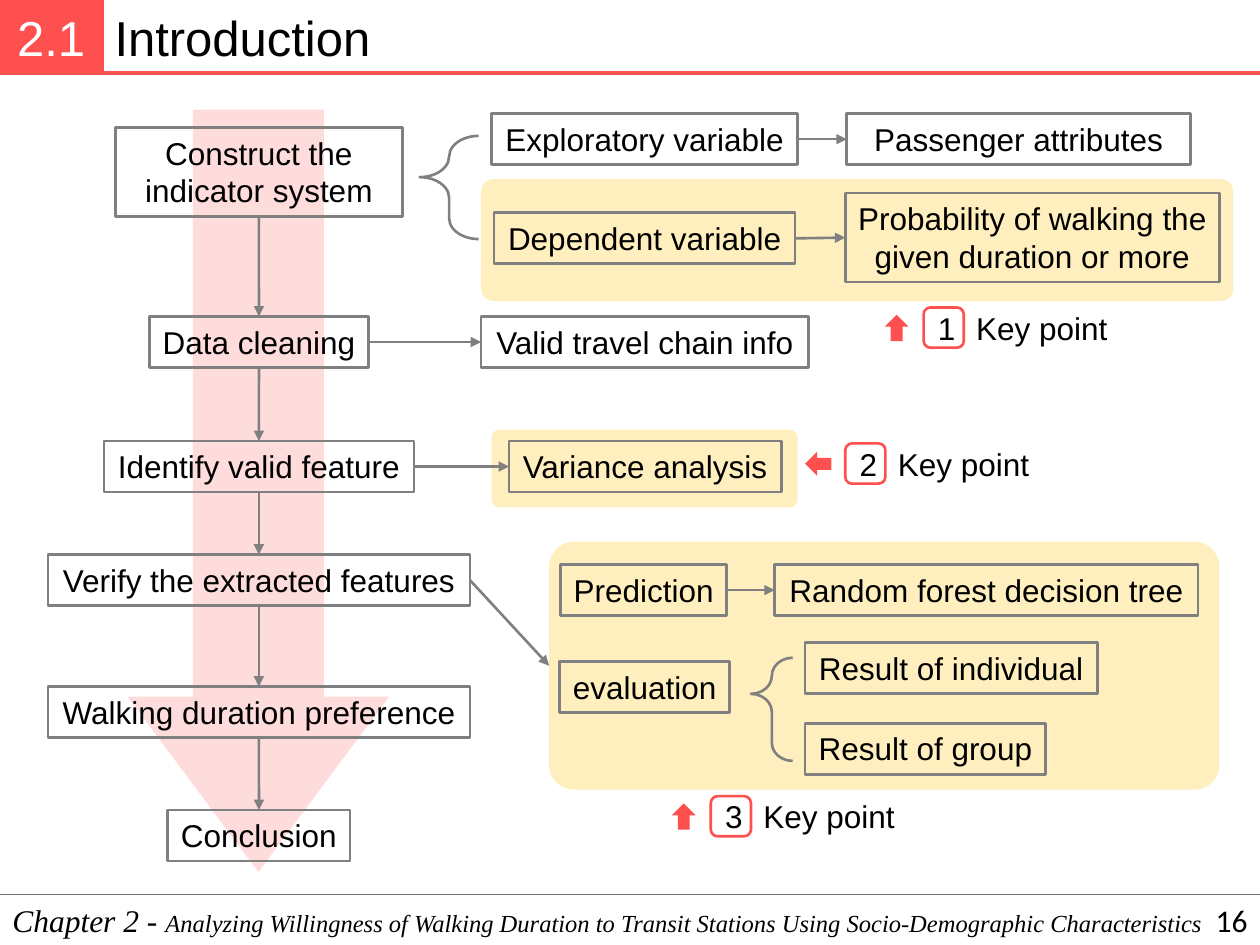
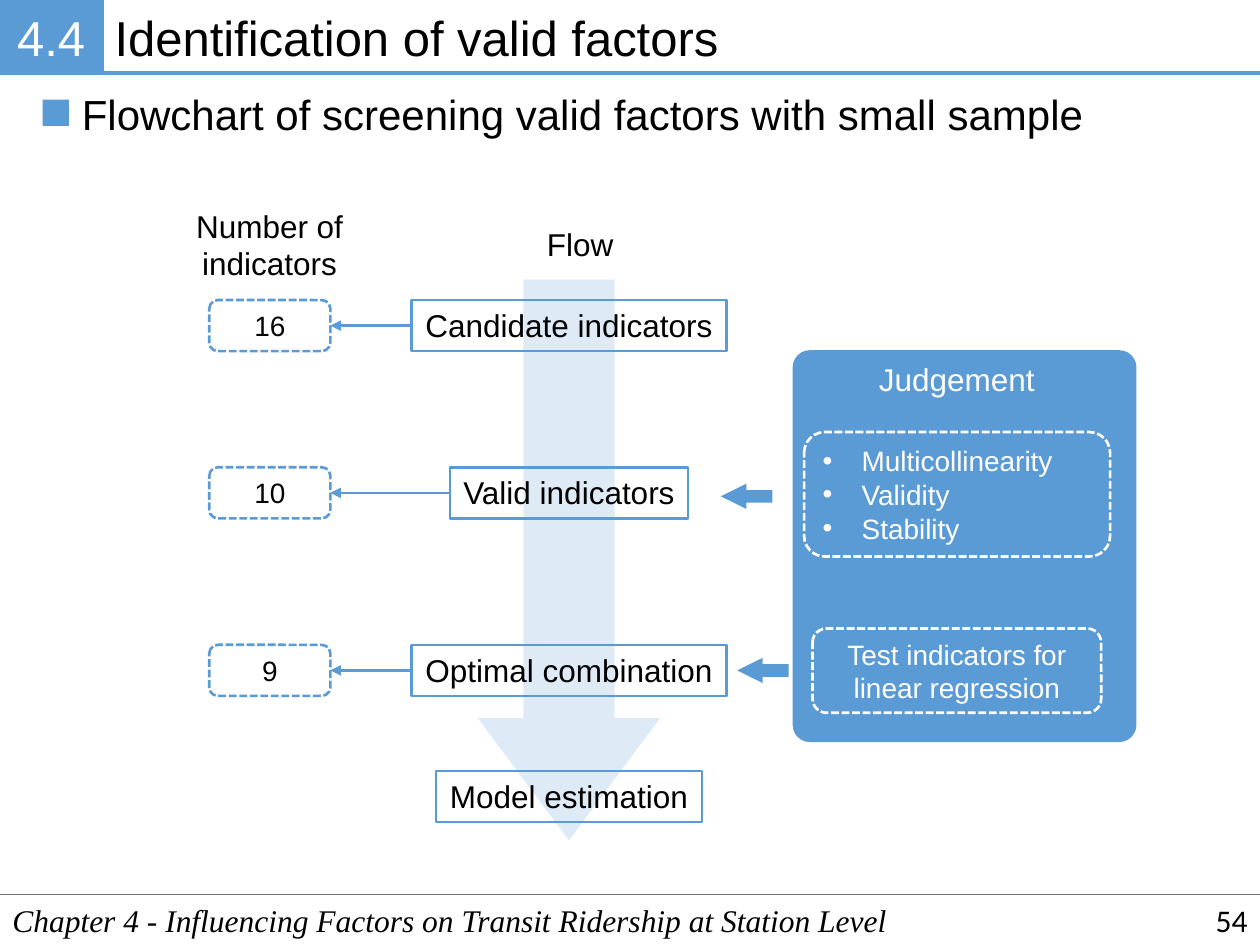
from itertools import pairwise

from lxml.etree import SubElement
from pptx import Presentation
from pptx.dml.color import RGBColor
from pptx.enum.dml import MSO_LINE
from pptx.enum.shapes import MSO_CONNECTOR, MSO_SHAPE
from pptx.enum.text import MSO_ANCHOR, PP_ALIGN
from pptx.oxml.ns import qn
from pptx.util import Cm, Pt

BLACK = RGBColor(0x00, 0x00, 0x00)
WHITE = RGBColor(0xFF, 0xFF, 0xFF)
RED = RGBColor(0xFF, 0x50, 0x50)
BLUE = RGBColor(0x5B, 0x9B, 0xD5)
GOLD = RGBColor(0xFF, 0xC0, 0x00)
GRAY = RGBColor(0x80, 0x80, 0x80)
RULE = RGBColor(0x76, 0x71, 0x71)

WIDTH, HEIGHT = 25.4, 19.05
BAND, TAB = 1.47, 2.06
FOOT = 18.03
ROW, TALL = 1.03, 1.8
TOP, LEFT, BOTTOM, RIGHT = range(4)  # connection sites of a box

BODY = {"name": "Arial", "size": Pt(18)}
SMALL = {"name": "Arial", "size": Pt(16)}
HEAD = {"name": "Arial", "size": Pt(24)}
TITLE = {"name": "Arial", "size": Pt(28)}
CHAPTER = {"name": "Times New Roman", "size": Pt(18), "italic": True}
TOPIC = CHAPTER | {"size": Pt(14)}
PAGE = {"name": "Calibri", "size": Pt(18)}

MIDDLE = {"vertical_anchor": MSO_ANCHOR.MIDDLE, "word_wrap": True}
WRAP = {"vertical_anchor": MSO_ANCHOR.TOP, "word_wrap": True}
FREE = {"vertical_anchor": MSO_ANCHOR.TOP, "word_wrap": False}
TIGHT = MIDDLE | {f"margin_{side}": Cm(0.15)
                  for side in ("left", "top", "right", "bottom")}


def dress(target, look):
    for name, value in look.items():
        setattr(target, name, value)


class Deck:
    """Holds the accent and line colours and the slide being drawn."""

    def __init__(self):
        self.show = Presentation()
        self.show.slide_width, self.show.slide_height = Cm(WIDTH), Cm(HEIGHT)

    def start(self, accent, ink, number, title, page, chapter, topic=""):
        """Begin a slide with its title band and footer."""
        self.accent, self.ink = accent, ink
        self.slide = self.show.slides.add_slide(self.show.slide_layouts[6])
        self.text(title, (TAB, 0.03, WIDTH - TAB, 1.45), TITLE, frame=WRAP)
        tab = self.shape(MSO_SHAPE.RECTANGLE, (0, 0, TAB, BAND),
                         fill=accent, line=accent, weight=2.25)
        self.label(tab, number, TITLE, WHITE, frame=TIGHT)
        self.line((TAB, BAND, WIDTH, BAND), accent, 2.25)
        foot = self.text(chapter, (0, FOOT, WIDTH, 1.02), CHAPTER, frame=WRAP)
        if topic:
            run = foot.text_frame.paragraphs[0].add_run()
            run.text = topic
            self.font(run, TOPIC, BLACK)
        self.line((0, FOOT, WIDTH, FOOT), RULE, 1)
        self.text(page, (19.69, FOOT, 5.71, 1.02), PAGE,
                  align=PP_ALIGN.RIGHT, frame=MIDDLE)

    def font(self, run, look, color):
        dress(run.font, look)
        run.font.color.rgb = color

    def label(self, shape, text, look=BODY, color=BLACK,
              align=PP_ALIGN.CENTER, frame=FREE, bullet=False):
        """Fill a shape with text, one paragraph for each line."""
        body = shape.text_frame
        dress(body, frame)
        for i, words in enumerate(text.split("\n")):
            para = body.add_paragraph() if i else body.paragraphs[0]
            para.alignment = align
            if bullet:
                props = para._p.get_or_add_pPr()
                props.set("marL", str(Cm(0.79)))
                props.set("indent", str(-Cm(0.79)))
                SubElement(props, qn("a:buFont"), typeface="Arial")
                SubElement(props, qn("a:buChar"), char="•")
            run = para.add_run()
            run.text = words
            self.font(run, look, color)

    def text(self, text, place, look=BODY, color=BLACK,
             align=PP_ALIGN.LEFT, frame=FREE):
        box = self.slide.shapes.add_textbox(*map(Cm, place))
        self.label(box, text, look, color, align, frame)
        return box

    def shape(self, kind, place, fill=None, line=None, weight=1.5,
              alpha=None, adjust=(), turn=0):
        form = self.slide.shapes.add_shape(kind, *map(Cm, place))
        form.shadow.inherit = False
        form.rotation = turn
        for i, value in enumerate(adjust):
            form.adjustments[i] = value
        if fill is None:
            form.fill.background()
        else:
            form.fill.solid()
            form.fill.fore_color.rgb = fill
        if alpha:
            paint = form._element.spPr.find(qn("a:solidFill"))[0]
            SubElement(paint, qn("a:alpha"), val=str(alpha * 1000))
        if line is None:
            form.line.fill.background()
        else:
            form.line.color.rgb = line
            form.line.width = Pt(weight)
        return form

    def box(self, text, left, top, width, height=ROW):
        form = self.shape(MSO_SHAPE.RECTANGLE, (left, top, width, height),
                          line=self.ink)
        self.label(form, text, frame=FREE if height == ROW else WRAP)
        return form

    def step(self, text, axis, top, width, height=ROW):
        """Draw a box centred on a vertical axis."""
        return self.box(text, axis - width / 2, top, width, height)

    def dash(self, text, place, line, color, **style):
        form = self.shape(MSO_SHAPE.ROUNDED_RECTANGLE, place, line=line)
        form.line.dash_style = MSO_LINE.SQUARE_DOT
        self.label(form, text, SMALL, color, frame=MIDDLE, **style)
        return form

    def flow(self, place):
        self.shape(MSO_SHAPE.DOWN_ARROW, place, fill=self.accent,
                   alpha=20, adjust=(0.5, 0.67))

    def area(self, *place):
        return self.shape(MSO_SHAPE.ROUNDED_RECTANGLE, place, fill=GOLD,
                          alpha=25, adjust=(0.1,))

    def brace(self, place, point):
        self.shape(MSO_SHAPE.LEFT_BRACE, place, line=self.ink,
                   adjust=(0.61, point))

    def line(self, ends, color, weight, arrow=False):
        link = self.slide.shapes.add_connector(
            MSO_CONNECTOR.STRAIGHT, *map(Cm, ends))
        link.line.color.rgb = color
        link.line.width = Pt(weight)
        props = link._element.spPr
        if arrow:
            SubElement(props.find(qn("a:ln")), qn("a:tailEnd"),
                       type="triangle")
        SubElement(props, qn("a:effectLst"))
        return link

    def link(self, first, second, out=RIGHT, into=LEFT):
        """Join two boxes with an arrow glued to their sides."""
        arrow = self.line((0, 0, 0, 0), self.ink, 1.5, arrow=True)
        arrow.begin_connect(first, out)
        arrow.end_connect(second, into)

    def key(self, number, left, top, turn):
        """Draw a key point: arrow, numbered badge and label."""
        size = 0.81
        self.text("Key point", (left + size, top - 0.1, 3.18, 1.02))
        badge = self.shape(MSO_SHAPE.ROUNDED_RECTANGLE,
                           (left, top, size, size), line=self.accent)
        self.label(badge, number, frame=MIDDLE)
        self.shape(MSO_SHAPE.RIGHT_ARROW,
                   (left - size, top + 0.17, 0.53, 0.48),
                   fill=self.accent, turn=turn)


def intro(deck):
    deck.start(RED, GRAY, "2.1", "Introduction", "16", "Chapter 2 - ",
               "Analyzing Willingness of Walking Duration to Transit "
               "Stations Using Socio-Demographic Characteristics")
    deck.flow((2.57, 2.21, 5.28, 15.37))
    deck.area(9.7, 3.61, 15.16, 2.46)
    deck.area(9.91, 8.66, 6.17, 1.57)
    proof = deck.area(11.07, 10.92, 13.51, 5)

    steps = [deck.step(text, 5.22, *size) for text, *size in (
        ("Construct the indicator system", 2.57, 5.79, TALL),
        ("Data cleaning", 6.38, 4.42),
        ("Identify valid feature", 8.89, 6.25),
        ("Verify the extracted features", 11.18, 8.51),
        ("Walking duration preference", 13.84, 8.51),
        ("Conclusion", 16.33, 3.68),
    )]
    for first, second in pairwise(steps):
        deck.link(first, second, BOTTOM, TOP)
    _, clean, pick, verify, *_ = steps

    for first, second in (
        (("Exploratory variable", 9.91, 2.29, 6.17),
         ("Passenger attributes", 17.07, 2.29, 6.93)),
        (("Dependent variable", 9.96, 4.29, 6.07),
         ("Probability of walking the given duration or more",
          17.04, 3.89, 7.54, TALL)),
        (("Prediction", 11.3, 11.38, 3.35),
         ("Random forest decision tree", 15.62, 11.38, 8.53)),
    ):
        deck.link(deck.box(*first), deck.box(*second))

    deck.link(clean, deck.box("Valid travel chain info", 9.7, 6.38, 6.6))
    deck.link(pick, deck.box("Variance analysis", 10.26, 8.89, 5.49))
    deck.link(verify, proof)
    deck.box("evaluation", 11.28, 13.34, 3.43)
    deck.box("Result of individual", 16.23, 12.95, 5.89)
    deck.box("Result of group", 16.23, 14.58, 4.85)
    deck.brace((8.46, 2.74, 1.19, 2.08), 0.4)
    deck.brace((15.14, 13.26, 0.84, 2.08), 0.35)

    deck.key("1", 18.62, 6.2, 270)
    deck.key("2", 17.04, 8.94, 180)
    deck.key("3", 14.33, 16.05, 270)


def factors(deck):
    deck.start(BLUE, BLUE, "4.4", "Identification of valid factors", "54",
               "Chapter 4 - Influencing Factors on Transit Ridership "
               "at Station Level")
    deck.shape(MSO_SHAPE.RECTANGLE, (0.86, 2.01, 0.53, 0.53), fill=BLUE)
    deck.text("Flowchart of screening valid factors with small sample",
              (1.4, 1.65, 20.9, 1.27), HEAD)
    deck.flow((9.63, 5.64, 3.68, 11.3))
    deck.text("Number of\nindicators", (3.68, 4.04, 3.51, TALL),
              align=PP_ALIGN.CENTER)
    deck.text("Flow", (10.77, 4.42, 1.85, ROW), align=PP_ALIGN.CENTER)

    for text, top, width, count in (
        ("Candidate indicators", 6.05, 6.35, "16"),
        ("Valid indicators", 9.42, 4.8, "10"),
        ("Optimal combination", 13, 6.35, "9"),
        ("Model estimation", 15.54, 5.36, None),
    ):
        step = deck.step(text, 11.47, top, width)
        if count:
            tally = deck.dash(count, (4.22, top, 2.44, ROW), BLUE, BLACK)
            deck.link(step, tally, LEFT, RIGHT)

    deck.shape(MSO_SHAPE.ROUNDED_RECTANGLE, (15.98, 7.06, 6.93, 7.9),
               fill=BLUE, adjust=(0.05,))
    deck.text("Judgement", (17.45, 7.14, 3.68, ROW), color=WHITE,
              align=PP_ALIGN.CENTER)
    deck.dash("Multicollinearity\nValidity\nStability",
              (16.21, 8.71, 6.17, 2.51), WHITE, WHITE,
              align=PP_ALIGN.LEFT, bullet=True)
    deck.dash("Test indicators for linear regression",
              (16.38, 12.67, 5.82, 1.7), WHITE, WHITE)
    for left, top in ((14.53, 9.75), (14.86, 13.26)):
        deck.shape(MSO_SHAPE.RIGHT_ARROW, (left, top, 1.04, 0.51),
                   fill=BLUE, adjust=(0.5, 1.01), turn=180)


def main():
    deck = Deck()
    intro(deck)
    factors(deck)
    deck.show.save("out.pptx")


if __name__ == "__main__":
    main()
